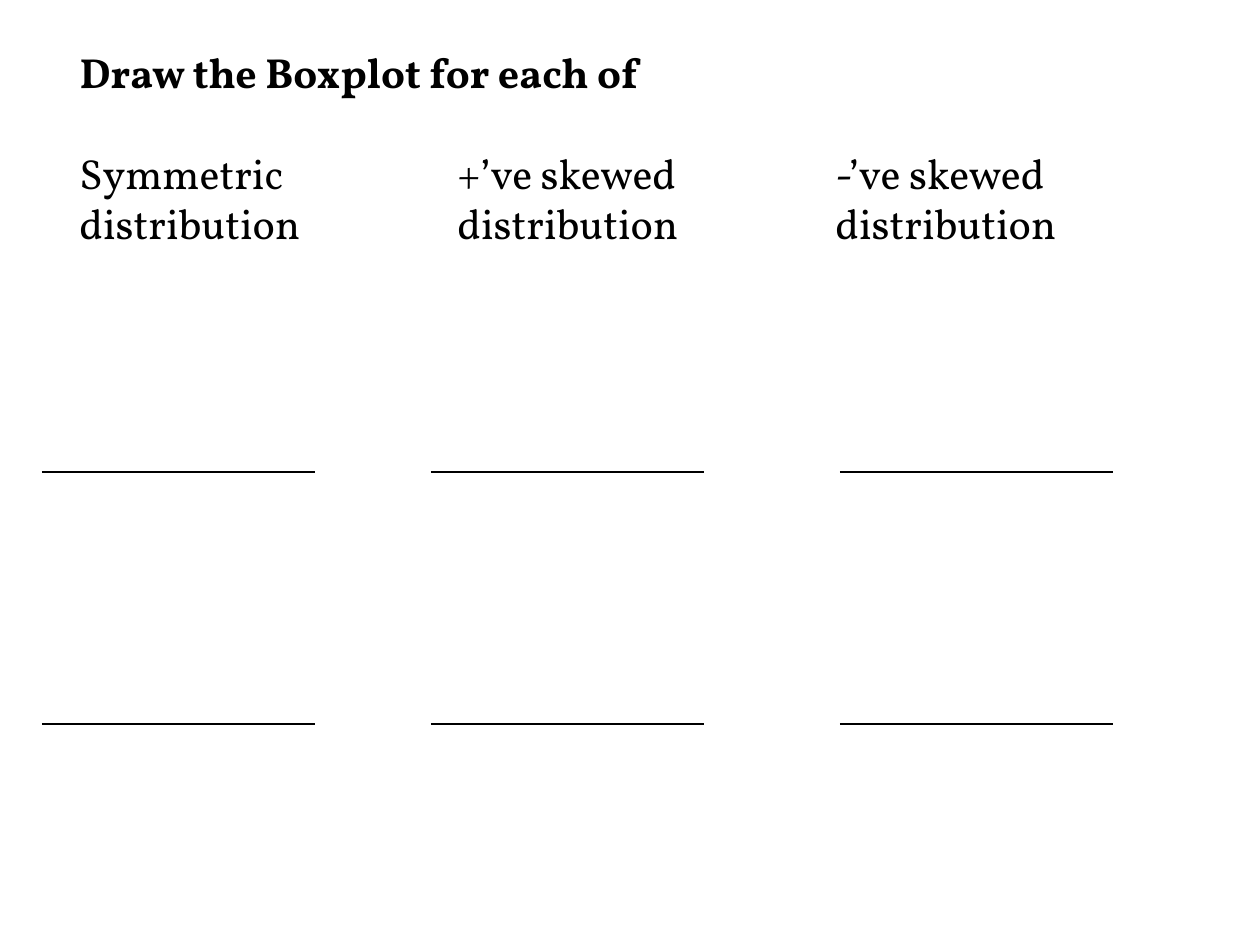
"""Build a worksheet slide for drawing boxplots of three distributions."""
from dataclasses import dataclass

from lxml import etree
from pptx import Presentation
from pptx.dml.color import RGBColor
from pptx.enum.shapes import MSO_CONNECTOR
from pptx.enum.text import MSO_ANCHOR, MSO_AUTO_SIZE, PP_ALIGN
from pptx.oxml.ns import qn
from pptx.util import Emu, Pt

STRAIGHT = MSO_CONNECTOR.STRAIGHT
TOP = MSO_ANCHOR.TOP
FIXED = MSO_AUTO_SIZE.NONE
LEFT = PP_ALIGN.LEFT

BLACK = RGBColor(0, 0, 0)
FONT = "Vollkorn"
SCALE = 914400 / 126

MARGIN = 67
STEP = 378
RULE_WIDTH = 273
RULE_ROWS = (472, 724)


@dataclass
class Column:
    shape: str
    rule: int


COLUMNS = (
    Column("Symmetric", 42),
    Column("+’ve skewed", 431),
    Column("-’ve skewed", 840),
)


def px(count: int) -> Emu:
    return Emu(round(count * SCALE))


def fill_text(box, lines: tuple[str, ...], bold: bool = False) -> None:
    frame = box.text_frame
    frame.word_wrap = True
    frame.auto_size = FIXED
    frame.vertical_anchor = TOP
    for i, line in enumerate(lines):
        para = frame.paragraphs[0] if i == 0 else frame.add_paragraph()
        para.alignment = LEFT
        run = para.add_run()
        run.text = line
        run.font.name = FONT
        run.font.size = Pt(24)
        run.font.bold = bold
        run.font.color.rgb = BLACK


def add_title(slide, text: str) -> None:
    title = slide.shapes.title
    title.left, title.top = px(MARGIN), px(40)
    title.width, title.height = px(1105), px(64)
    fill_text(title, (text,), bold=True)


def add_label(slide, left: int, column: Column) -> None:
    box = slide.shapes.add_textbox(px(left), px(141), px(300), px(114))
    fill_text(box, (column.shape, "distribution"))


def add_rule(slide, left: int, top: int) -> None:
    rule = slide.shapes.add_connector(
        STRAIGHT, px(left), px(top), px(left + RULE_WIDTH), px(top)
    )
    rule.line.color.rgb = BLACK
    rule.line.width = Pt(1)
    etree.SubElement(rule._element.spPr, qn("a:effectLst"))


def main() -> None:
    deck = Presentation()
    deck.slide_width, deck.slide_height = px(1260), px(945)
    slide = deck.slides.add_slide(deck.slide_layouts.get_by_name("Title Only"))
    add_title(slide, "Draw the Boxplot for each of")
    for i, column in enumerate(COLUMNS):
        add_label(slide, MARGIN + i * STEP, column)
        for top in RULE_ROWS:
            add_rule(slide, column.rule, top)
    deck.save("out.pptx")


if __name__ == "__main__":
    main()
